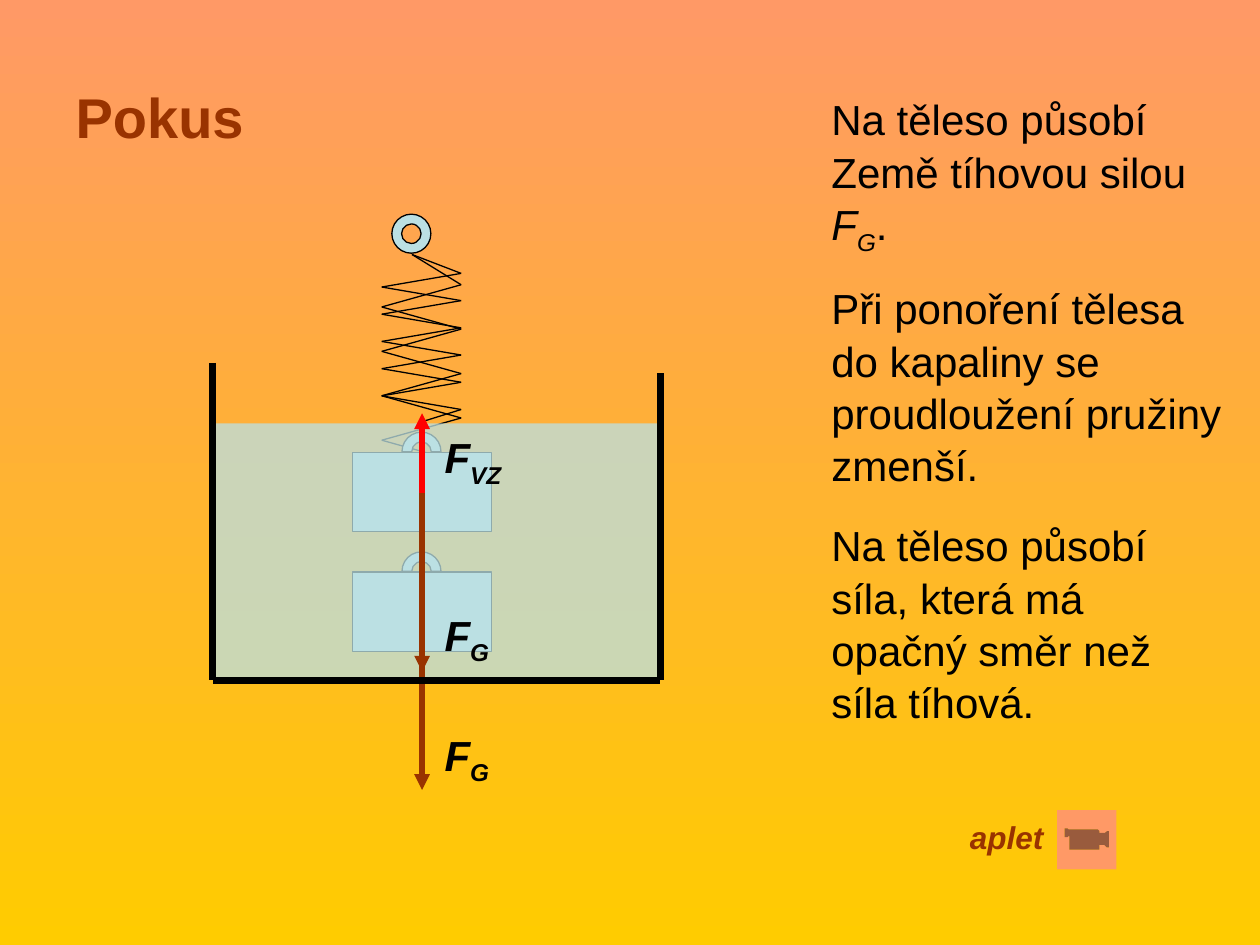
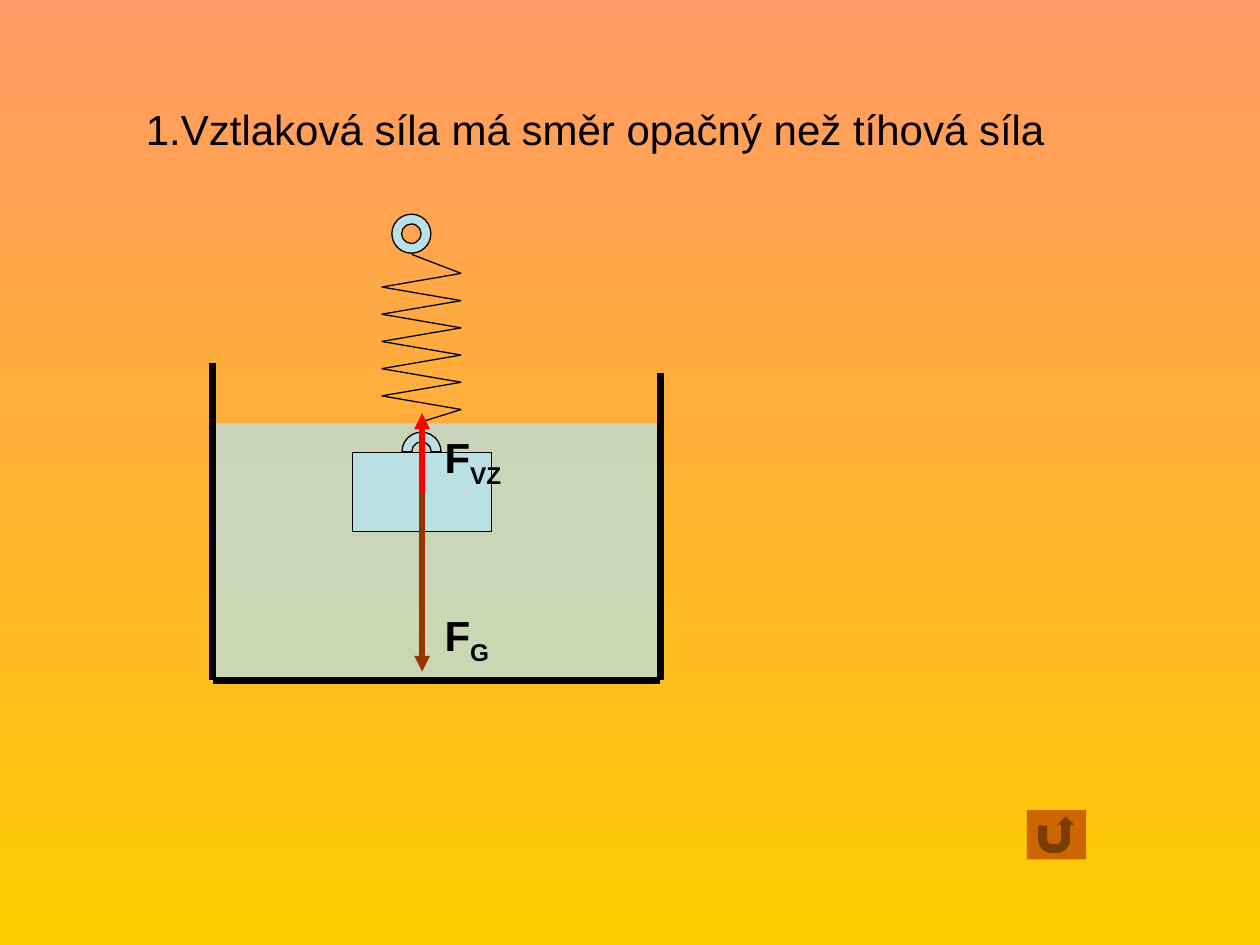
"""Build two slides about the buoyant force on a body hung from a spring."""
from itertools import pairwise

from lxml.etree import SubElement
from pptx import Presentation
from pptx.dml.color import RGBColor
from pptx.enum.shapes import MSO_CONNECTOR, MSO_SHAPE
from pptx.enum.text import MSO_ANCHOR, MSO_AUTO_SIZE, PP_ALIGN
from pptx.oxml.ns import qn
from pptx.util import Inches, Pt

FONT = "Arial"
BLACK, BROWN, RED, BLUE = "000000", "993300", "FF0000", "BBE0E3"
SKY, SUN, RUST = "FF9966", "FFCC00", "CC6600"

TITLE = "Pokus"
LAW = "1.Vztlaková síla má směr opačný než tíhová síla"
NOTES = [
    (0.68, 3.39, 1.36, [("Na těleso působí Země tíhovou silou ", ""), ("F", "i"),
                        ("G", "is"), (".", "")]),
    (2.18, 3.43, 1.7, [("Při ponoření tělesa do kapaliny se proudloužení "
                        "pružiny zmenší.", "")]),
    (4.06, 3.07, 1.7, [("Na těleso působí síla, která má opačný směr než "
                        "síla tíhová.", "")]),
]
LIQUID = (1.69, 3.36, 3.54, 2.02)
VESSEL = [(1.69, 2.88), (1.69, 5.4), (5.24, 5.4), (5.24, 2.96)]
AXIS, SPRING_LEFT, SPRING_RIGHT = 3.35, 3.03, 3.66
RING = (3.11, 1.7, 0.31, 0.31)
RING_FOOT = (3.27, 2.02)
STRETCHED = {"body_top": 4.54, "first": 2.26, "last": 3.67, "turns": 8,
             "hook": (4.2, 4.46), "end": []}
LIFTED = {"body_top": 3.59, "first": 2.17, "last": 3.25, "turns": 10,
          "hook": (3.35, 3.51), "end": [(3.34, 3.35)]}
GRAVITY_IN_AIR = {"name": "G", "colour": BROWN, "start": 4.85, "end": 6.27,
                  "label": (3.43, 5.72, 0.63, 0.56)}
GRAVITY = {"name": "G", "colour": BROWN, "start": 3.91, "end": 5.33,
           "label": (3.43, 4.77, 0.63, 0.56)}
BUOYANCY = {"name": "VZ", "colour": RED, "start": 3.91, "end": 3.28,
            "label": (3.43, 3.36, 0.87, 0.56)}


def rgb(value):
    """Turn a hex string into a colour."""
    return RGBColor.from_string(value)


def add_text(slide_shapes, at, runs, size=24, colour=BLACK, bold=False, spacing=1.04):
    """Add a text box whose runs are marked i for italic and s for subscript."""
    box = slide_shapes.add_textbox(*map(Inches, at))
    frame = box.text_frame
    frame.word_wrap = True
    frame.auto_size = MSO_AUTO_SIZE.SHAPE_TO_FIT_TEXT
    para = frame.paragraphs[0]
    para.line_spacing = spacing
    for text, marks in runs:
        span = para.add_run()
        span.text = text
        font = span.font
        font.name, font.size, font.bold = FONT, Pt(size), bold
        font.italic = "i" in marks
        font.color.rgb = rgb(colour)
        if "s" in marks:
            span._r.get_or_add_rPr().set("baseline", "-25000")
    return box


def add_shape(shapes, kind, at, fill=BLUE, outlined=True, adjustments=()):
    """Add a filled preset shape, with or without a thin black outline."""
    shape = shapes.add_shape(kind, *map(Inches, at))
    shape.shadow.inherit = False
    shape.fill.solid()
    shape.fill.fore_color.rgb = rgb(fill)
    if outlined:
        shape.line.color.rgb = rgb(BLACK)
        shape.line.width = Pt(0.75)
    else:
        shape.line.fill.background()
    for index, value in enumerate(adjustments):
        shape.adjustments[index] = value
    return shape


def add_line(shapes, start, end, colour=BLACK, width=0.75, arrow=False):
    """Add a straight line, with an arrowhead at its end if asked."""
    line = shapes.add_connector(MSO_CONNECTOR.STRAIGHT, *map(Inches, (*start, *end)))
    line.line.color.rgb = rgb(colour)
    line.line.width = Pt(width)
    properties = line._element.spPr
    if arrow:
        SubElement(properties.find(qn("a:ln")), qn("a:tailEnd"), type="triangle")
    SubElement(properties, qn("a:effectLst"))


def add_path(shapes, points, **style):
    """Join consecutive points with straight lines."""
    for start, end in pairwise(points):
        add_line(shapes, start, end, **style)


def add_hanging_body(slide, state, ring=False):
    """Draw the body, its eye and the spring that holds it."""
    shapes = slide.shapes.add_group_shape().shapes
    top = state["body_top"]
    add_shape(shapes, MSO_SHAPE.RECTANGLE, (2.8, top, 1.1, 0.63))
    add_shape(shapes, MSO_SHAPE.BLOCK_ARC, (3.19, top - 0.16, 0.31, 0.31),
              adjustments=(108, 0, 0.25))
    add_path(shapes, [(AXIS, y) for y in state["hook"]])
    step = (state["last"] - state["first"]) / state["turns"]
    coil = [(SPRING_LEFT if turn % 2 else SPRING_RIGHT, state["first"] + turn * step)
            for turn in range(state["turns"] + 1)]
    add_path(shapes, [RING_FOOT, *coil, *state["end"]])
    if ring:
        add_shape(shapes, MSO_SHAPE.DONUT, RING, adjustments=(0.25,))


def add_liquid(slide):
    """Draw the translucent liquid."""
    liquid = add_shape(slide.shapes, MSO_SHAPE.RECTANGLE, LIQUID, outlined=False)
    colour = liquid._element.spPr.find(qn("a:solidFill"))[0]
    SubElement(colour, qn("a:alpha"), val="76000")


def add_vessel(slide):
    """Draw the walls and the bottom of the vessel."""
    add_path(slide.shapes.add_group_shape().shapes, VESSEL, width=4)


def add_force(slide, force, marks=""):
    """Draw a force arrow and its label."""
    shapes = slide.shapes.add_group_shape().shapes
    add_line(shapes, (AXIS, force["start"]), (AXIS, force["end"]),
             colour=force["colour"], width=3, arrow=True)
    add_text(shapes, force["label"], [("F", marks), (force["name"], marks + "s")],
             bold=True)


def add_title(slide, text):
    """Place and format the title."""
    title = slide.shapes.title
    title.left, title.top, title.width, title.height = map(Inches, (0.5, 0.3, 9, 1.25))
    title.text_frame.text = text
    title.text_frame.vertical_anchor = MSO_ANCHOR.MIDDLE
    para = title.text_frame.paragraphs[0]
    para.alignment = PP_ALIGN.LEFT
    para.font.name, para.font.size, para.font.bold = FONT, Pt(32), True
    para.font.color.rgb = rgb(BROWN)


def set_background(deck):
    """Give every slide the vertical gradient."""
    fill = deck.slide_master.background.fill
    fill.gradient()
    fill.gradient_angle = 270
    for stop, colour, position in zip(fill.gradient_stops, (SKY, SUN), (0, 1)):
        stop.color.rgb = rgb(colour)
        stop.position = position


def build_experiment(deck):
    """Build the slide that compares the body before and after it is lifted."""
    slide = deck.slides.add_slide(deck.slide_layouts[5])
    add_title(slide, TITLE)
    add_hanging_body(slide, STRETCHED)
    add_hanging_body(slide, LIFTED, ring=True)
    add_liquid(slide)
    for force in (GRAVITY_IN_AIR, GRAVITY, BUOYANCY):
        add_force(slide, force, marks="i")
    for top, width, height, runs in NOTES:
        add_text(slide.shapes, (6.5, top, width, height), runs)
    add_vessel(slide)
    add_shape(slide.shapes, MSO_SHAPE.ACTION_BUTTON_MOVIE, (8.39, 6.43, 0.47, 0.47),
              fill=SKY, outlined=False)
    add_text(slide.shapes, (7.6, 6.43, 0.87, 0.4), [("aplet", "i")],
             size=18, colour=BROWN, bold=True)


def build_law(deck):
    """Build the slide that states the direction of the buoyant force."""
    slide = deck.slides.add_slide(deck.slide_layouts[6])
    add_liquid(slide)
    add_vessel(slide)
    add_hanging_body(slide, LIFTED, ring=True)
    for force in (GRAVITY, BUOYANCY):
        add_force(slide, force)
    add_text(slide.shapes, (1.06, 0.76, 7.87, 0.5), [(LAW, "")])
    add_shape(slide.shapes, MSO_SHAPE.ACTION_BUTTON_RETURN, (8.15, 6.43, 0.47, 0.39),
              fill=RUST, outlined=False)


def main():
    """Build and save the deck."""
    deck = Presentation()
    deck.slide_width, deck.slide_height = Inches(10), Inches(7.5)
    set_background(deck)
    build_experiment(deck)
    build_law(deck)
    deck.save("out.pptx")


if __name__ == "__main__":
    main()
